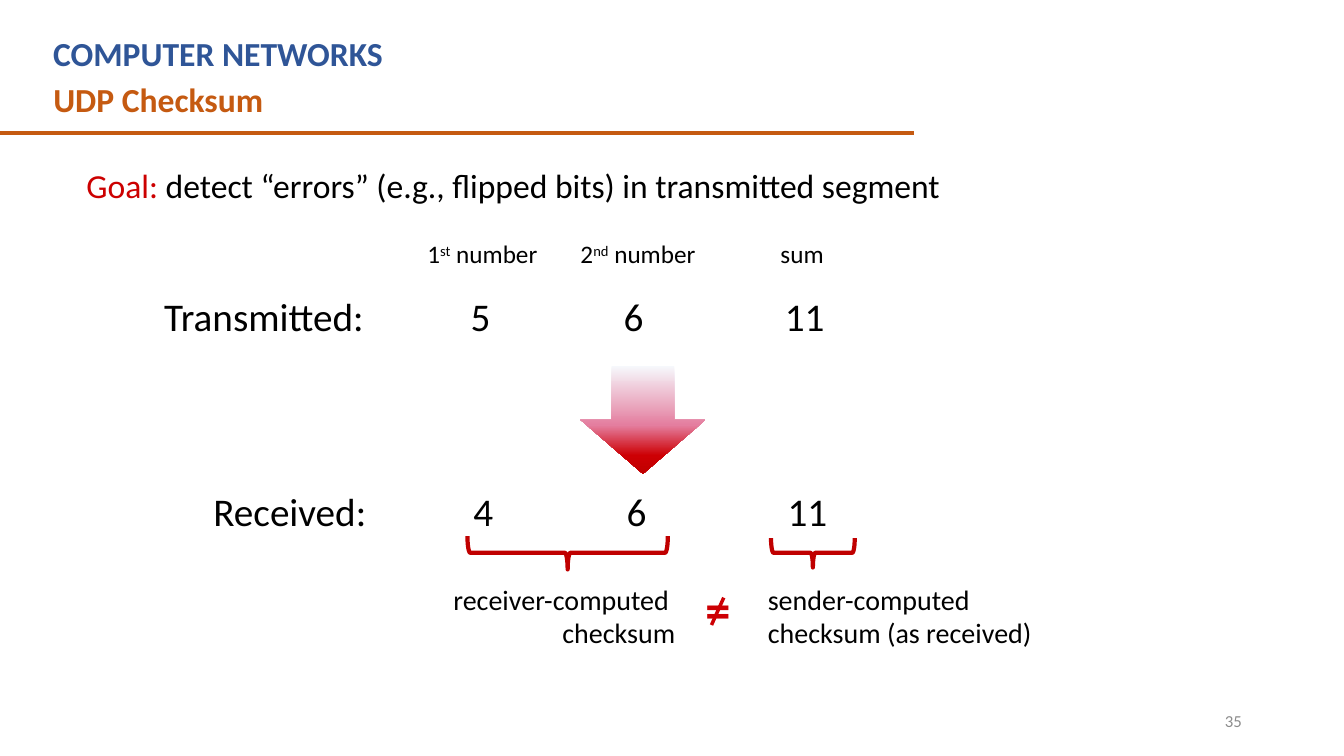
from dataclasses import dataclass

from lxml.etree import SubElement
from pptx import Presentation
from pptx.dml.color import RGBColor
from pptx.enum.shapes import MSO_CONNECTOR, MSO_SHAPE
from pptx.enum.text import MSO_ANCHOR, MSO_AUTO_SIZE, PP_ALIGN
from pptx.oxml.ns import qn
from pptx.util import Cm, Pt


@dataclass(frozen=True)
class Theme:
    """Colours, font and type sizes of the slide."""
    font: str = "Calibri"
    ink: str = "000000"
    blue: str = "2F5597"
    orange: str = "C55A11"
    goal: str = "CC0000"
    brace: str = "C00000"
    unequal: str = "CD0004"
    grey: str = "8C8C8C"
    arrow: tuple = ((0, "F6F8FC"), (55, "E47E9F"), (83, "CD0004"), (100, "C00000"))
    heading: int = 24
    number: int = 28
    label: int = 18
    caption: int = 20
    sign: int = 36
    footer: int = 12


T = Theme()


def write(tf, paras, size, color=T.ink, bold=False, align=PP_ALIGN.LEFT,
          anchor=MSO_ANCHOR.TOP, spacing=None, tabs=()):
    """Fill a text frame with paragraphs, each a list of (text, options) runs."""
    tf.word_wrap, tf.auto_size, tf.vertical_anchor = True, MSO_AUTO_SIZE.NONE, anchor
    for i, runs in enumerate(paras):
        p = tf.add_paragraph() if i else tf.paragraphs[0]
        p.alignment = align
        if spacing:
            p.line_spacing = spacing
        if tabs:
            tab_list = SubElement(p._p.get_or_add_pPr(), qn("a:tabLst"))
            for pos in tabs:
                SubElement(tab_list, qn("a:tab"), pos=str(Cm(pos)), algn="l")
        for text, opts in runs:
            r = p.add_run()
            r.text = text
            r.font.name, r.font.size, r.font.bold = T.font, Pt(size), bold
            r.font.color.rgb = RGBColor.from_string(opts.get("color", color))
            if opts.get("sup"):
                r._r.get_or_add_rPr().set("baseline", "30000")


def add_text(s, x, y, w, h, *lines, **fmt):
    """Add a text box; a line is a string or a list of runs."""
    sp = s.shapes.add_textbox(Cm(x), Cm(y), Cm(w), Cm(h))
    paras = [[(line, {})] if isinstance(line, str) else line for line in lines]
    write(sp.text_frame, paras, **fmt)


def add_line(s, x1, y1, x2, y2, color, width):
    """Add a straight line without a shadow."""
    sp = s.shapes.add_connector(MSO_CONNECTOR.STRAIGHT, Cm(x1), Cm(y1), Cm(x2), Cm(y2))
    sp.line.color.rgb = RGBColor.from_string(color)
    sp.line.width = Pt(width)
    SubElement(sp._element.spPr, qn("a:effectLst"))


def add_brace(s, x, y, w, h):
    """Add a brace pointing down that fills the given box."""
    left, top = x + (w - h) / 2, y + (h - w) / 2
    sp = s.shapes.add_shape(MSO_SHAPE.RIGHT_BRACE, Cm(left), Cm(top), Cm(h), Cm(w))
    sp.rotation = 90
    sp.shadow.inherit = False
    sp.fill.background()
    sp.line.color.rgb = RGBColor.from_string(T.brace)
    sp.line.width = Pt(3)


def add_header(s, x, y, w):
    """Place the course name, the slide title and the rule below them."""
    title = s.shapes.title
    title.left, title.top, title.width, title.height = Cm(x), Cm(y + 1.14), Cm(w), Cm(1.27)
    write(title.text_frame, [[("UDP Checksum", {})]], size=T.heading, color=T.orange, bold=True)
    add_text(s, x, y, w, 1.27, "COMPUTER NETWORKS", size=T.heading, color=T.blue, bold=True)
    add_line(s, 0, y + 2.64, x + w - 0.28, y + 2.64, T.orange, 3)


def add_goal(s, x, y, w, h):
    """Place the goal sentence."""
    runs = [("Goal: ", {"color": T.goal}),
            ("detect “errors” (e.g., flipped bits) in transmitted segment", {})]
    add_text(s, x, y, w, h, runs, size=T.heading, spacing=0.85)


def add_column_labels(s, x, y):
    """Place the labels above the number columns."""
    labels = ((0, [("1", {}), ("st", {"sup": True}), (" number", {})]),
              (3.86, [("2", {}), ("nd", {"sup": True}), (" number", {})]),
              (8.9, "sum"))
    for dx, label in labels:
        add_text(s, x + dx, y, 3.8, 1.02, label, size=T.label)


def add_number_row(s, x, y, first_column, *cells):
    """Place a row name and its numbers on tab stops."""
    start = first_column - x - 0.25
    tabs = [start + dx for dx in (0, 3.86, 7.92)]
    add_text(s, x, y, 22, 1.6, "\t".join(cells), size=T.number, spacing=0.9, tabs=tabs)


def add_down_arrow(s, x, y, w, h):
    """Place the shaded arrow between the two rows."""
    sp = s.shapes.add_shape(MSO_SHAPE.DOWN_ARROW, Cm(x), Cm(y), Cm(w), Cm(h))
    sp.shadow.inherit = False
    sp.line.fill.background()
    sp.fill.gradient()
    sp.fill.gradient_angle = 270
    stops = sp._element.spPr.find(qn("a:gradFill")).find(qn("a:gsLst"))
    stops.clear()
    for pos, color in T.arrow:
        stop = SubElement(stops, qn("a:gs"), pos=str(pos * 1000))
        SubElement(stop, qn("a:srgbClr"), val=color)


def add_comparison(s, x, y):
    """Place both braces, their captions and the unequal sign."""
    add_brace(s, x + 0.68, y, 5.05, 0.84)
    add_brace(s, x + 8.33, y + 0.05, 2.11, 0.74)
    top = y + 1.04
    add_text(s, x, top, 6.17, 1.96, "receiver-computed ", "checksum",
             size=T.caption, align=PP_ALIGN.RIGHT)
    add_text(s, x + 8, top, 7.6, 1.96, "sender-computed", "checksum (as received)",
             size=T.caption)
    add_text(s, x + 6.43, top - 0.1, 1.5, 1.8, "=", size=T.sign, color=T.unequal, bold=True)
    add_line(s, x + 7.14, top + 0.51, x + 6.83, top + 1.2, T.unequal, 2.5)


def add_page_number(s, x, y, w, h):
    """Place the page number."""
    add_text(s, x, y, w, h, "35", size=T.footer, color=T.grey,
             align=PP_ALIGN.RIGHT, anchor=MSO_ANCHOR.MIDDLE)


def main():
    """Build and save the slide."""
    prs = Presentation()
    prs.slide_width, prs.slide_height = Cm(33.87), Cm(19.05)
    s = prs.slides.add_slide(prs.slide_layouts[5])
    add_header(s, 1.09, 0.71, 22.23)
    add_goal(s, 1.93, 4.19, 23.34, 1.5)
    add_column_labels(s, 10.52, 5.89)
    add_number_row(s, 3.89, 7.37, 11.86, "Transmitted:", "5", "6", "11")
    add_down_arrow(s, 14.63, 9.22, 3.15, 2.72)
    add_number_row(s, 5.13, 12.29, 11.93, "Received:", "4", "6", "11")
    add_comparison(s, 11.1, 13.51)
    add_page_number(s, 23.93, 17.65, 7.62, 1.02)
    prs.save("out.pptx")


if __name__ == "__main__":
    main()
